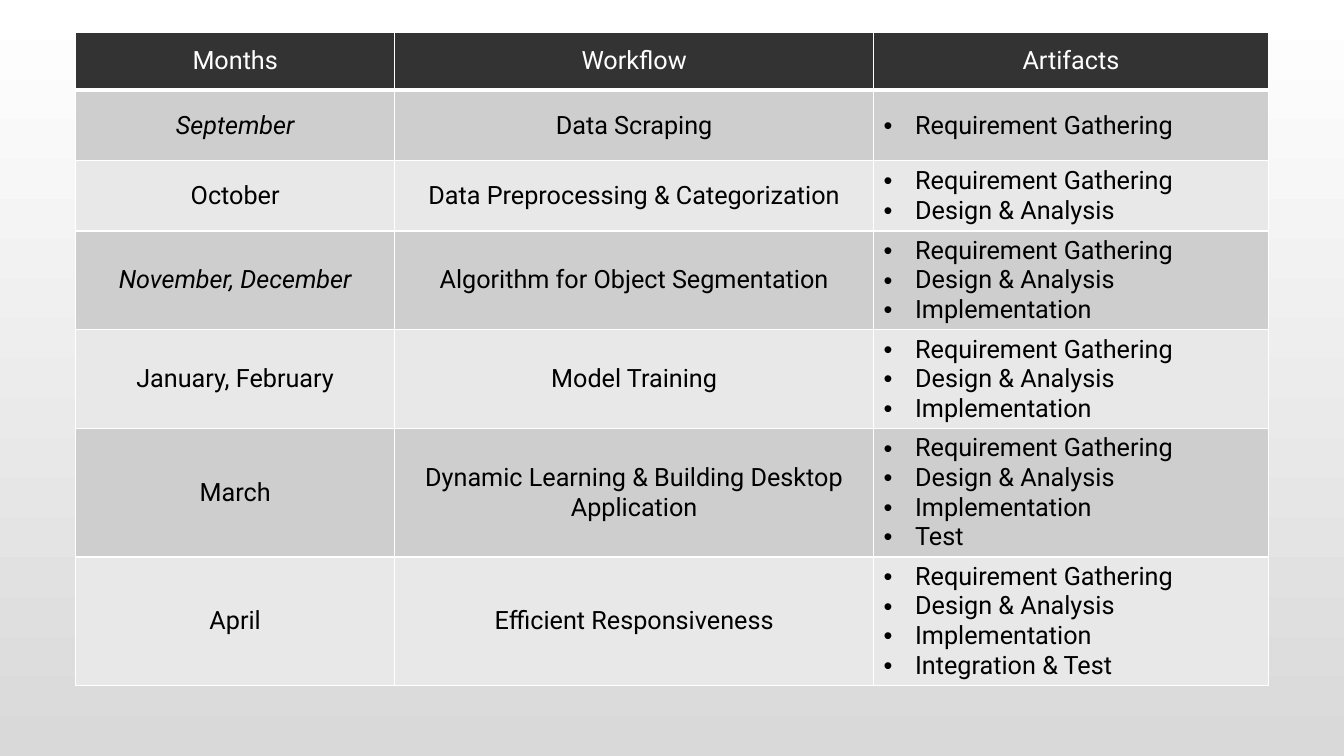
"""Build a slide with a monthly project schedule table."""
import pptx
import pptx.dml.color
import pptx.enum.text
import pptx.oxml
import pptx.oxml.ns
import pptx.util

PX = 9525
FONT = "Roboto"
COLORS = {
    "header": "333333", "odd": "CECECE", "even": "E8E8E8", "white": "FFFFFF",
    "black": "000000", "bottom": "D9D9D9",
}
COLUMN_WIDTHS = [304, 456, 376]
ROW_HEIGHTS = [55, 67, 67, 67, 87, 114, 108]
HEADINGS = ["Months", "Workflow", "Artifacts"]
PHASES = ["Requirement Gathering", "Design & Analysis", "Implementation"]
SCHEDULE = [
    ("September", "Data Scraping", PHASES[:1]),
    ("October", "Data Preprocessing & Categorization", PHASES[:2]),
    ("November, December", "Algorithm for Object Segmentation", PHASES),
    ("January, February", "Model Training", PHASES),
    ("March", "Dynamic Learning & Building Desktop Application", PHASES + ["Test"]),
    ("April", "Efficient Responsiveness", PHASES + ["Integration & Test"]),
]
ITALIC_MONTHS = {"September", "November, December"}


def rgb(name):
    return pptx.dml.color.RGBColor.from_string(COLORS[name])


def add_borders(cell, widths):
    for position, (side, points) in enumerate(widths.items()):
        border = pptx.oxml.parse_xml(
            f'<a:ln{side} {pptx.oxml.ns.nsdecls("a")} w="{pptx.util.Pt(points)}">'
            f'<a:solidFill><a:srgbClr val="{COLORS["white"]}"/></a:solidFill>'
            f'</a:ln{side}>')
        cell._tc.get_or_add_tcPr().insert(position, border)


deck = pptx.Presentation()
deck.slide_width = 1280 * PX
deck.slide_height = 720 * PX
slide = deck.slides.add_slide(deck.slide_layouts[6])

backdrop = slide.background.fill
backdrop.gradient()
backdrop.gradient_angle = 90
for stop, name, position in zip(backdrop.gradient_stops, ["bottom", "white"], [0, 1]):
    stop.color.rgb = rgb(name)
    stop.position = position

schedule = slide.shapes.add_table(
    len(ROW_HEIGHTS), len(COLUMN_WIDTHS), 72 * PX, 31 * PX,
    sum(COLUMN_WIDTHS) * PX, sum(ROW_HEIGHTS) * PX).table
for column, width in zip(schedule.columns, COLUMN_WIDTHS):
    column.width = width * PX
for row, height in zip(schedule.rows, ROW_HEIGHTS):
    row.height = height * PX

for row_index, entries in enumerate([HEADINGS] + SCHEDULE):
    is_header = row_index == 0
    band = "header" if is_header else "odd" if row_index % 2 else "even"
    for column_index, entry in enumerate(entries):
        cell = schedule.cell(row_index, column_index)
        cell.fill.solid()
        cell.fill.fore_color.rgb = rgb(band)
        cell.vertical_anchor = pptx.enum.text.MSO_ANCHOR.MIDDLE
        add_borders(cell, {"L": 1, "R": 1, "T": 3 if row_index == 1 else 1,
                           "B": 3 if is_header else 1})
        is_list = isinstance(entry, list)
        cell.text_frame.text = "\n".join(entry) if is_list else entry
        for paragraph in cell.text_frame.paragraphs:
            if is_list:
                properties = paragraph._p.get_or_add_pPr()
                properties.set("marL", str(30 * PX))
                properties.set("indent", str(-30 * PX))
                for bullet in ('buFont {} typeface="Arial"', 'buChar {} char="•"'):
                    properties.append(pptx.oxml.parse_xml(
                        f'<a:{bullet.format(pptx.oxml.ns.nsdecls("a"))}/>'))
            else:
                paragraph.alignment = pptx.enum.text.PP_ALIGN.CENTER
            for run in paragraph.runs:
                run.font.name = FONT
                run.font.size = pptx.util.Pt(18)
                run.font.bold = False
                run.font.italic = run.text in ITALIC_MONTHS
                run.font.color.rgb = rgb("white" if is_header else "black")

deck.save("out.pptx")
